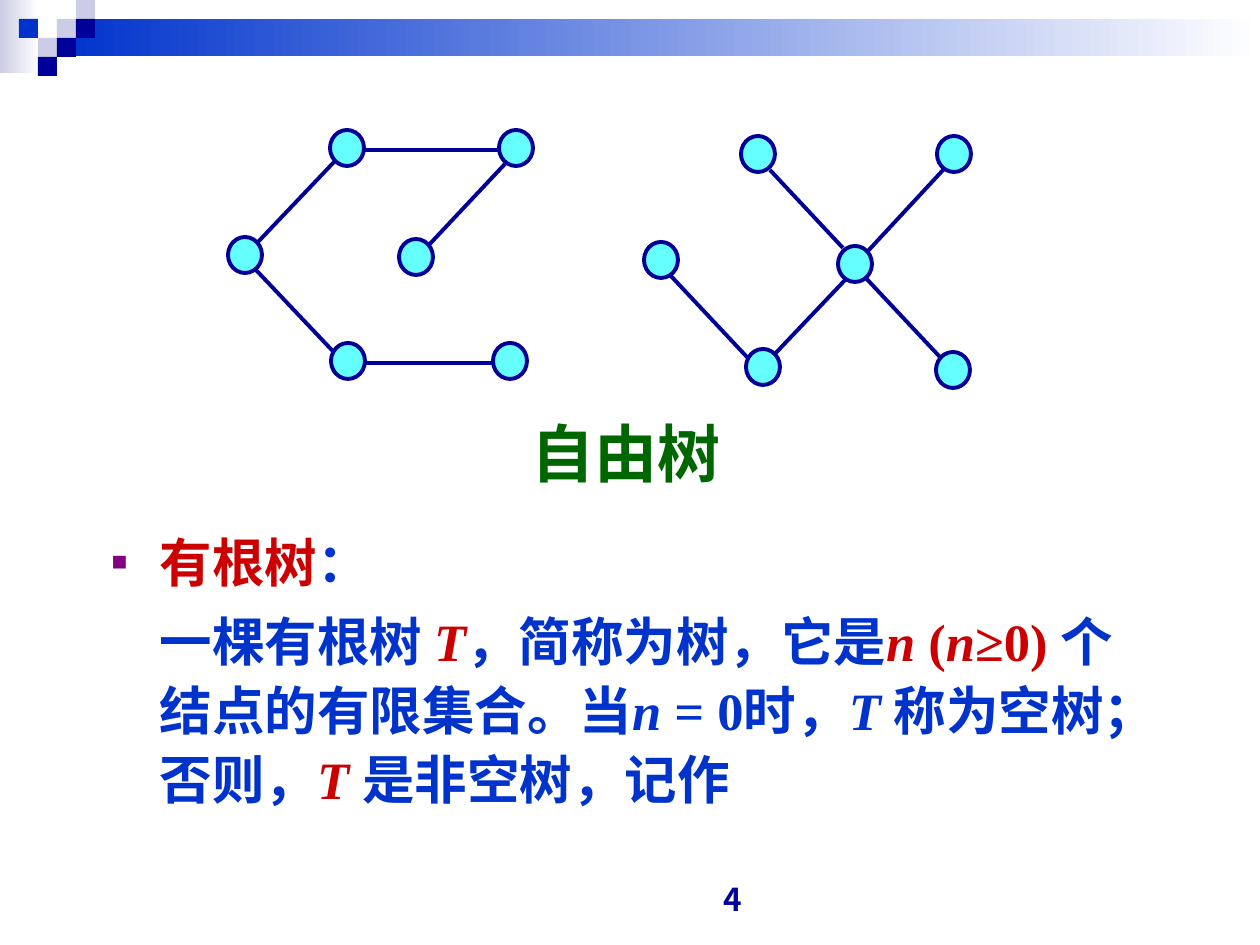
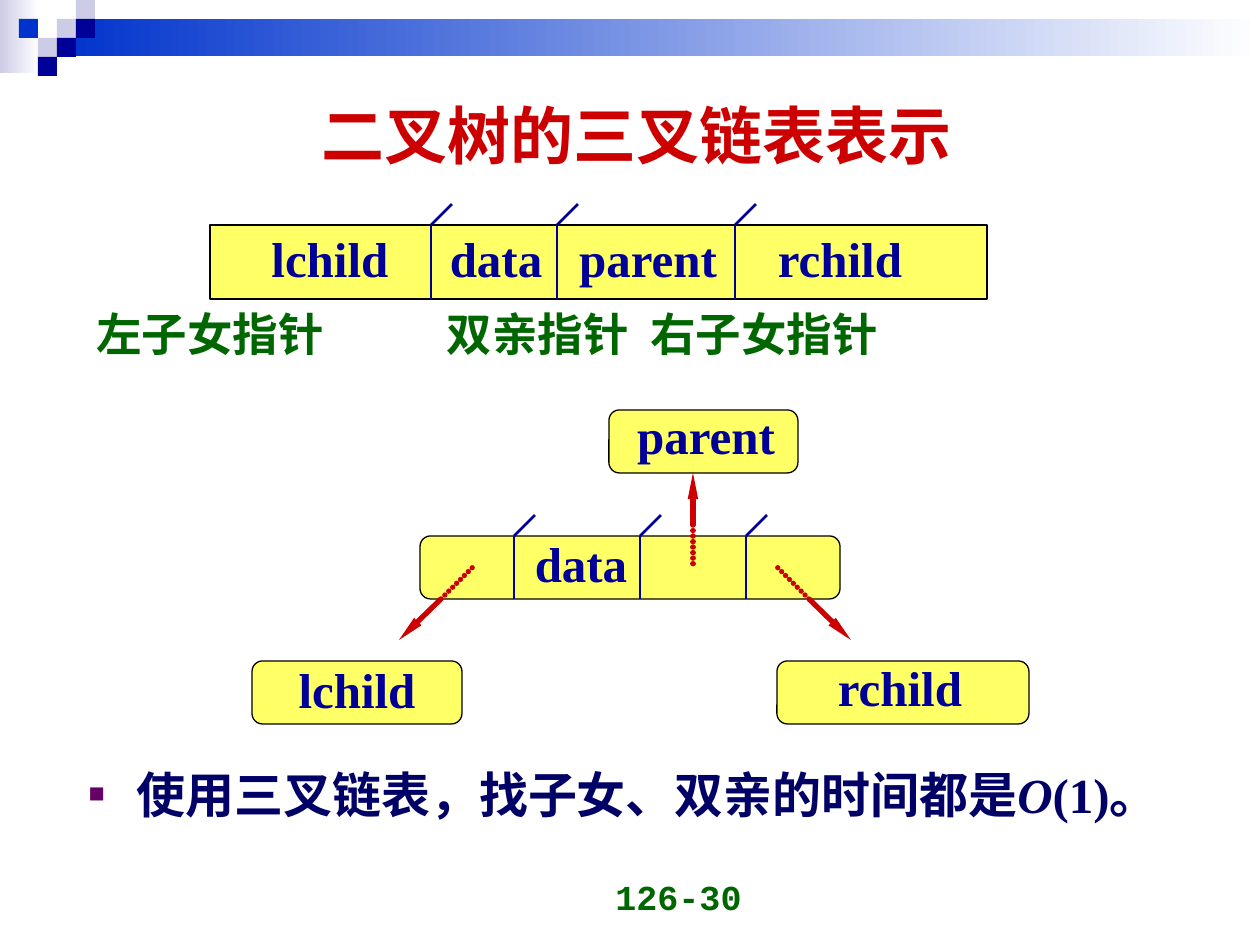
import pptx
import pptx.dml.color
import pptx.enum.shapes
import pptx.enum.text
import pptx.oxml.ns
import pptx.util
import lxml.etree

PX = 7257  # EMU in one px, 126 px to the inch
NAVY, BLUE, LAVENDER, WHITE = "000099", "0033CC", "CCCCE6", "FFFFFF"
RED, GREEN, YELLOW, CYAN, BLACK = "CC0000", "006600", "FFFF66", "66FFFF", "000000"
SERIF, SANS, CJK = "Times New Roman", "Arial", "Noto Sans CJK JP"
HANGING = 48

SHAPES = pptx.enum.shapes.MSO_SHAPE
ALIGN = pptx.enum.text.PP_ALIGN
ANCHOR = pptx.enum.text.MSO_ANCHOR
qn = pptx.oxml.ns.qn


def colour(target, value):
    """Set a font, line or stop colour, or a solid fill, from a hex string."""
    if hasattr(target, "solid"):
        target.solid()
        target = target.fore_color
    target.rgb = pptx.dml.color.RGBColor.from_string(value)


def write(paragraph, text, size=28, font=SERIF, color=NAVY, italic=False, align=None):
    run = paragraph.add_run()
    run.text = text
    run.font.size = pptx.util.Pt(size)
    run.font.bold = True
    run.font.italic = italic
    colour(run.font.color, color)
    run.font.name = font
    properties = run.font._element
    lxml.etree.SubElement(properties, qn("a:ea"), typeface=CJK)
    if align is not None:
        paragraph.alignment = align


presentation = pptx.Presentation()
presentation.slide_width = 1260 * PX
presentation.slide_height = 945 * PX
layout = presentation.slide_layouts[1]
tree_slide = presentation.slides.add_slide(layout)
list_slide = presentation.slides.add_slide(layout)

# Header shared through the master
header = [((0, 0, 39, 73), (LAVENDER, WHITE)), ((57, 19, 1203, 37), (BLUE, WHITE))]
for column, row, fill in [
    (3, 1, LAVENDER), (4, 0, LAVENDER), (4, 1, NAVY), (2, 2, LAVENDER),
    (1, 1, BLUE), (3, 2, NAVY), (2, 3, NAVY),
]:
    header.append(((column * 19, row * 19, 19, 19), fill))
for box, fill in header:
    shape = tree_slide.shapes.add_shape(SHAPES.RECTANGLE, *[n * PX for n in box])
    shape.shadow.inherit = False
    shape.line.fill.background()
    if isinstance(fill, tuple):
        shape.fill.gradient()
        shape.fill.gradient_angle = 0
        for stop, value in zip(shape.fill.gradient_stops, fill):
            colour(stop.color, value)
    else:
        colour(shape.fill, fill)
    presentation.slide_master.shapes.element.append(shape.element)

# Free trees: edges, then nodes
edges = [
    (363, 150, 500, 150), (335, 161, 258, 242), (505, 164, 428, 246),
    (256, 270, 346, 365), (358, 363, 494, 363), (772, 357, 847, 278),
    (770, 170, 843, 248), (670, 275, 761, 372), (863, 275, 954, 372),
    (945, 168, 868, 251),
]
nodes = [
    (499, 130), (330, 130), (228, 237), (399, 239), (493, 343), (331, 343),
    (741, 136), (644, 242), (746, 349), (937, 136), (838, 246), (936, 352),
]
drawings = [(tree_slide, "line", edge, None, NAVY, 2.25) for edge in edges]
drawings += [
    (tree_slide, SHAPES.OVAL, (x, y, 34, 36), CYAN, NAVY, 2.25) for x, y in nodes
]

# Record layout and linked node: boxes, field dividers with ticks, pointers
drawings.append((list_slide, SHAPES.RECTANGLE, (210, 225, 777, 74), YELLOW, BLACK, 0.75))
for box in [
    (609, 410, 189, 63), (420, 536, 420, 63), (777, 661, 252, 63), (252, 661, 210, 63),
]:
    drawings.append((list_slide, SHAPES.ROUNDED_RECTANGLE, box, YELLOW, BLACK, 0.75))
for top, bottom, dividers in [(225, 299, (431, 557, 735)), (536, 599, (514, 640, 746))]:
    for x in dividers:
        for points in [(x, bottom, x, top), (x, top, x + 21, top - 21)]:
            drawings.append((list_slide, "line", points, None, NAVY, 1.5))
for edge, tip, inside in [
    ((693, 525), (693, 473), (693, 567)),
    ((441, 599), (399, 640), (473, 567)),
    ((809, 599), (851, 640), (777, 567)),
]:
    drawings.append((list_slide, "arrow", edge + tip, None, RED, 3))
    drawings.append((list_slide, "dots", edge + inside, None, RED, 3))

for slide, kind, geometry, fill, line, weight in drawings:
    lengths = [n * PX for n in geometry]
    if fill:
        shape = slide.shapes.add_shape(kind, *lengths)
        shape.shadow.inherit = False
        colour(shape.fill, fill)
    else:
        shape = slide.shapes.add_connector(
            pptx.enum.shapes.MSO_CONNECTOR.STRAIGHT, *lengths)
    colour(shape.line.fill, line)
    shape.line.width = pptx.util.Pt(weight)
    if not fill:
        properties = shape.element.spPr
        outline = properties.find(qn("a:ln"))
        if kind == "dots":
            outline.set("cap", "rnd")
            dashes = lxml.etree.SubElement(outline, qn("a:custDash"))
            lxml.etree.SubElement(dashes, qn("a:ds"), d="100000", sp="5000")
        if kind == "arrow":
            lxml.etree.SubElement(
                outline, qn("a:tailEnd"), type="triangle", w="sm", len="lg")
        lxml.etree.SubElement(properties, qn("a:effectLst"))

# Field names, given by centre and top
labels = [
    (text, x, y, {}) for text, x, y in [
        ("lchild", 330, 222), ("data", 496, 222), ("parent", 648, 222),
        ("rchild", 840, 222), ("parent", 706, 399), ("data", 581, 527),
        ("lchild", 357, 653), ("rchild", 900, 651),
    ]
]
labels += [
    (text, x, 297, {"size": 26, "color": GREEN}) for text, x in [
        ("左子女指针", 210), ("双亲指针", 538), ("右子女指针", 764),
    ]
]
for text, center, top, style in labels:
    width = 300 if style else 164
    label = list_slide.shapes.add_textbox(
        (center - width // 2) * PX, top * PX, width * PX, 72 * PX)
    label.text_frame.word_wrap = False
    label.text_frame.vertical_anchor = ANCHOR.MIDDLE
    write(label.text_frame.paragraphs[0], text, align=ALIGN.CENTER, **style)

# Titles and page numbers
for slide, box, text, style in [
    (tree_slide, (59, 408, 1134, 89), "自由树", {"font": SANS, "color": GREEN}),
    (list_slide, (69, 61, 1134, 146), "二叉树的三叉链表表示", {"color": RED}),
]:
    title = slide.shapes.title
    title.left, title.top, title.width, title.height = [n * PX for n in box]
    title.text_frame.auto_size = pptx.enum.text.MSO_AUTO_SIZE.NONE
    title.text_frame.vertical_anchor = ANCHOR.MIDDLE
    write(title.text_frame.paragraphs[0], text, size=36, align=ALIGN.CENTER, **style)

for slide, text, style in [
    (tree_slide, "4", {"size": 18, "font": CJK}),
    (list_slide, "126-30", {"size": 20, "font": "Courier New", "color": GREEN}),
]:
    number = slide.shapes.add_textbox(460 * PX, 861 * PX, 294 * PX, 63 * PX)
    number.text_frame.word_wrap = True
    number.text_frame.vertical_anchor = ANCHOR.BOTTOM
    write(number.text_frame.paragraphs[0], text, align=ALIGN.RIGHT, **style)

# Lists: each run is text, colour, italic
term = [("有根树", RED, False), ("：", BLUE, False)]
definition = [
    ("一棵有根树 ", BLUE, False), ("T", RED, True), ("，简称为树，它是", BLUE, False),
    ("n", RED, True), (" (", RED, False), ("n", RED, True), ("≥0) ", RED, False),
    ("个结点的有限集合。当", BLUE, False), ("n", BLUE, True), (" = 0时，", BLUE, False),
    ("T ", BLUE, True), ("称为空树；否则，", BLUE, False), ("T ", RED, True),
    ("是非空树，记作", BLUE, False),
]
cost = [
    ("使用三叉链表，找子女、双亲的时间都是", "000066", False),
    ("O", "000066", True), ("(1)。", "000066", False),
]
for slide, box, size, spacing, before, bullet, bullet_size, paragraphs in [
    (tree_slide, (99, 517, 1073, 387), 30, 1.1, 5.6, "800080", 50, [term, definition]),
    (list_slide, (76, 755, 1134, 110), 28, 1.05, 5.2, "660066", 55, [cost]),
]:
    body = slide.placeholders[1]
    body.left, body.top, body.width, body.height = [n * PX for n in box]
    frame = body.text_frame
    frame.auto_size = pptx.enum.text.MSO_AUTO_SIZE.NONE
    for index, runs in enumerate(paragraphs):
        paragraph = frame.add_paragraph() if index else frame.paragraphs[0]
        paragraph.line_spacing = spacing
        paragraph.space_before = pptx.util.Pt(before)
        for text, color, italic in runs:
            write(paragraph, text, size=size, color=color, italic=italic)
        properties = paragraph._p.get_or_add_pPr()
        properties.set("marL", str(HANGING * PX))
        properties.set("indent", str(0 if index else -HANGING * PX))
        if index:
            lxml.etree.SubElement(properties, qn("a:buNone"))
            continue
        bullet_colour = lxml.etree.SubElement(properties, qn("a:buClr"))
        lxml.etree.SubElement(bullet_colour, qn("a:srgbClr"), val=bullet)
        lxml.etree.SubElement(properties, qn("a:buSzPct"), val=str(bullet_size * 1000))
        lxml.etree.SubElement(properties, qn("a:buFont"), typeface=SANS)
        lxml.etree.SubElement(properties, qn("a:buChar"), char="■")

presentation.save("out.pptx")
